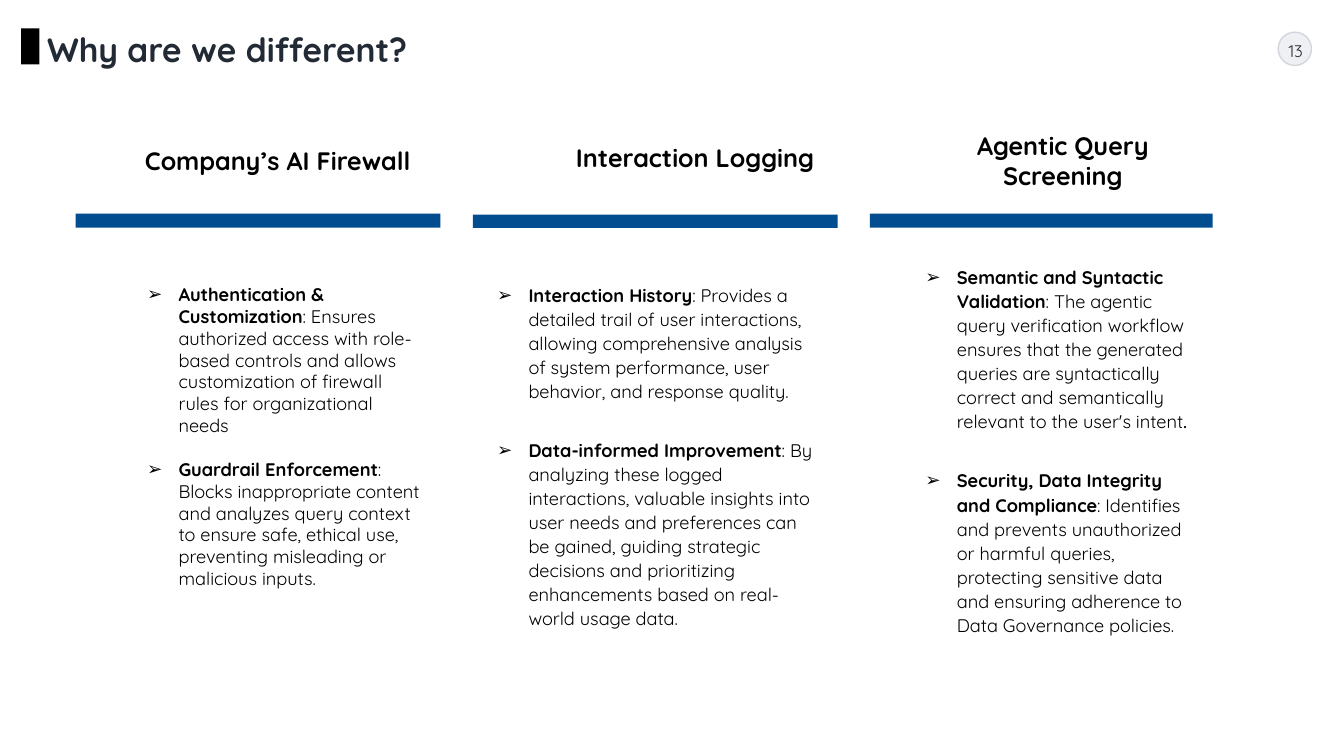
from lxml import etree
from pptx import Presentation
from pptx.dml.color import RGBColor
from pptx.enum.shapes import MSO_SHAPE
from pptx.enum.text import MSO_ANCHOR, PP_ALIGN
from pptx.oxml.ns import qn
from pptx.util import Pt

RECTANGLE, OVAL = MSO_SHAPE.RECTANGLE, MSO_SHAPE.OVAL
MIDDLE, TOP = MSO_ANCHOR.MIDDLE, MSO_ANCHOR.TOP
LEFT, CENTER = PP_ALIGN.LEFT, PP_ALIGN.CENTER

FONT = "Quicksand"
COLORS = {
    "black": "000000",
    "title": "222A35",
    "bar": "024C90",
    "badge": "EFF0F3",
    "badge_line": "D3D6DE",
    "number": "272D39",
}
BULLET_HANG = 22.5

# Boxes are left, top, width, height in points.
COLUMNS = [
    {
        "heading": "Company’s AI Firewall",
        "heading_box": (81.1, 100.1, 234.7, 28.8),
        "bar": (54, 152.6, 260.6, 10.1),
        "body_box": (69.1, 185.6, 230.4, 252),
        "indent": 58.5, "line_spacing": 1.0, "gap": 15.6,
        "points": [
            ("Authentication & Customization",
             ": Ensures authorized access with role-based controls and allows "
             "customization of firewall rules for organizational needs"),
            ("Guardrail Enforcement",
             ": Blocks inappropriate content and analyzes query context to ensure "
             "safe, ethical use, preventing misleading or malicious inputs."),
        ],
    },
    {
        "heading": "Interaction Logging",
        "heading_box": (394.6, 97.9, 203.8, 28.8),
        "bar": (337.7, 153.4, 260.6, 9.4),
        "body_box": (355, 183.6, 226.8, 283.7),
        "indent": BULLET_HANG, "line_spacing": 1.1, "gap": 25,
        "points": [
            ("Interaction History",
             ": Provides a detailed trail of user interactions, allowing "
             "comprehensive analysis of system performance, user behavior, and "
             "response quality."),
            ("Data-informed Improvement",
             ": By analyzing these logged interactions, valuable insights into user "
             "needs and preferences can be gained, guiding strategic decisions and "
             "prioritizing enhancements based on real-world usage data."),
        ],
    },
    {
        "heading": "Agentic Query Screening",
        "heading_box": (652.3, 89.3, 213.8, 51.1),
        "bar": (621.4, 152.6, 244.8, 10.1),
        "body_box": (661, 183.6, 195.8, 275.8),
        "indent": BULLET_HANG, "line_spacing": 1.1, "gap": 25,
        "points": [
            ("Semantic and Syntactic Validation",
             ": The agentic query verification workflow ensures that the generated "
             "queries are syntactically correct and semantically relevant to the "
             "user's intent", "."),
            ("Security, Data Integrity and Compliance",
             ": Identifies and prevents unauthorized or harmful queries, protecting "
             "sensitive data and ensuring adherence to Data Governance policies."),
        ],
    },
]


def add_block(slide, shape_kind, box, fill, line=None):
    block = slide.shapes.add_shape(shape_kind, *map(Pt, box))
    block.shadow.inherit = False
    block.fill.solid()
    block.fill.fore_color.rgb = RGBColor.from_string(COLORS[fill])
    if line:
        block.line.color.rgb = RGBColor.from_string(COLORS[line])
        block.line.width = Pt(1)
    else:
        block.line.fill.background()


def add_frame(slide, box, anchor=TOP, inset=True):
    """Add a wrapping text box and return its text frame."""
    frame = slide.shapes.add_textbox(*map(Pt, box)).text_frame
    frame.word_wrap = True
    frame.vertical_anchor = anchor
    if not inset:
        frame.margin_left = frame.margin_right = 0
        frame.margin_top = frame.margin_bottom = 0
    return frame


def style_run(run, size, color="black", bold=False, font=FONT):
    run.font.name = font
    run.font.size = Pt(size)
    run.font.bold = bold
    run.font.color.rgb = RGBColor.from_string(COLORS[color])


def add_label(slide, box, text, size, color, bold=True, align=CENTER,
              inset=True, line_spacing=1.0):
    frame = add_frame(slide, box, inset=inset)
    frame.text = text
    paragraph = frame.paragraphs[0]
    paragraph.alignment = align
    paragraph.line_spacing = line_spacing
    style_run(paragraph.runs[0], size, color, bold)


def add_bullet(paragraph, indent):
    properties = paragraph._p.get_or_add_pPr()
    properties.set("marL", str(Pt(indent)))
    properties.set("indent", str(-Pt(BULLET_HANG)))
    etree.SubElement(properties, qn("a:buFont")).set("typeface", "Arial")
    etree.SubElement(properties, qn("a:buChar")).set("char", "➢")


def add_points(slide, column):
    frame = add_frame(slide, column["body_box"], MIDDLE, inset=False)
    for index, (term, explanation, *ending) in enumerate(column["points"]):
        paragraph = frame.add_paragraph() if index else frame.paragraphs[0]
        add_bullet(paragraph, column["indent"])
        paragraph.line_spacing = column["line_spacing"]
        if index:
            paragraph.space_before = Pt(column["gap"])
        parts = [(term, True, FONT), (explanation, False, FONT)]
        parts += [(mark, False, "Calibri") for mark in ending]
        for text, bold, font in parts:
            run = paragraph.add_run()
            run.text = text
            style_run(run, 13, bold=bold, font=font)


def add_column(slide, column):
    add_block(slide, RECTANGLE, column["bar"], "bar")
    add_label(slide, column["heading_box"], column["heading"], 18, "black")
    add_points(slide, column)


def main():
    deck = Presentation()
    deck.slide_width, deck.slide_height = Pt(960), Pt(540)
    slide = deck.slides.add_slide(deck.slide_layouts[6])

    add_block(slide, OVAL, (913, 23, 23.8, 23.8), "badge", "badge_line")
    add_label(slide, (896.4, 28.8, 58.3, 14.4), "13", 12, "number",
              bold=False, inset=False)
    add_label(slide, (26.6, 20.2, 736.6, 30.2), "Why are we different?", 24,
              "title", align=LEFT, line_spacing=0.9)
    add_block(slide, RECTANGLE, (15.1, 20.2, 13, 25.9), "black")

    for column in COLUMNS:
        add_column(slide, column)
    deck.save("out.pptx")


if __name__ == "__main__":
    main()
